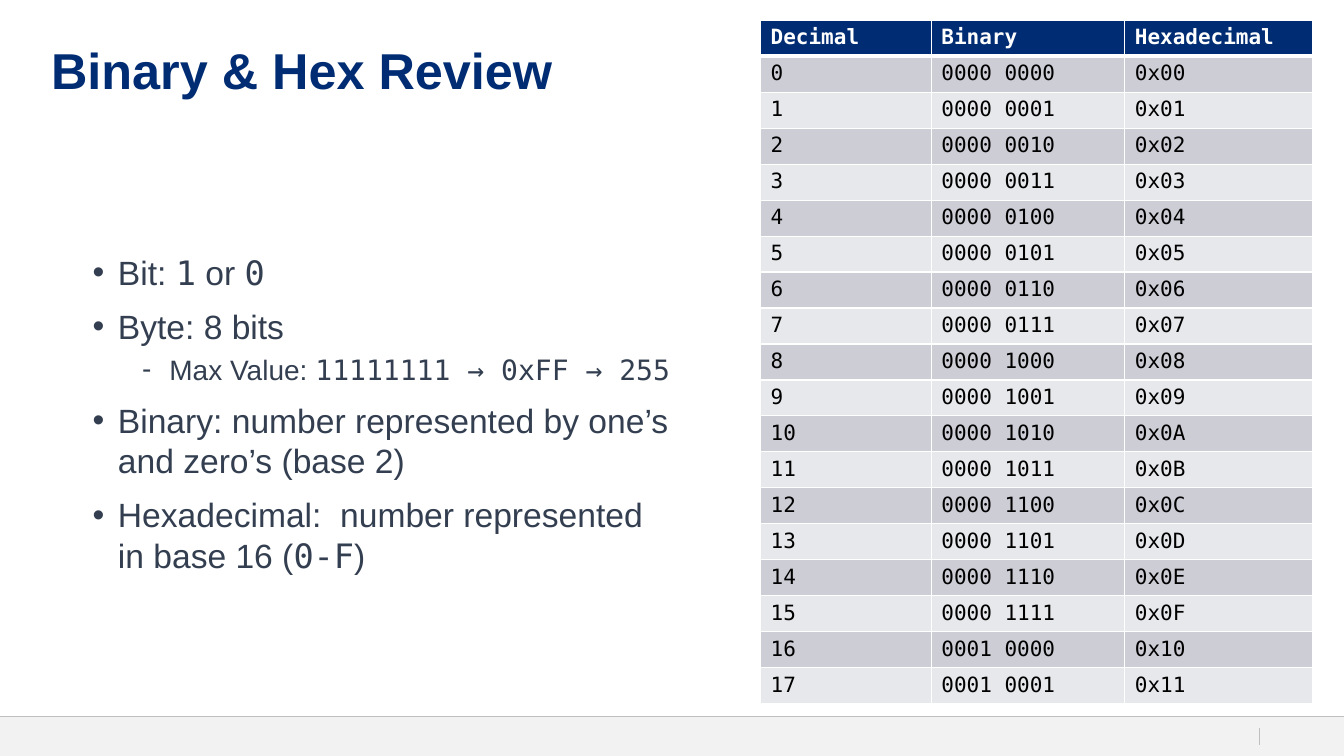
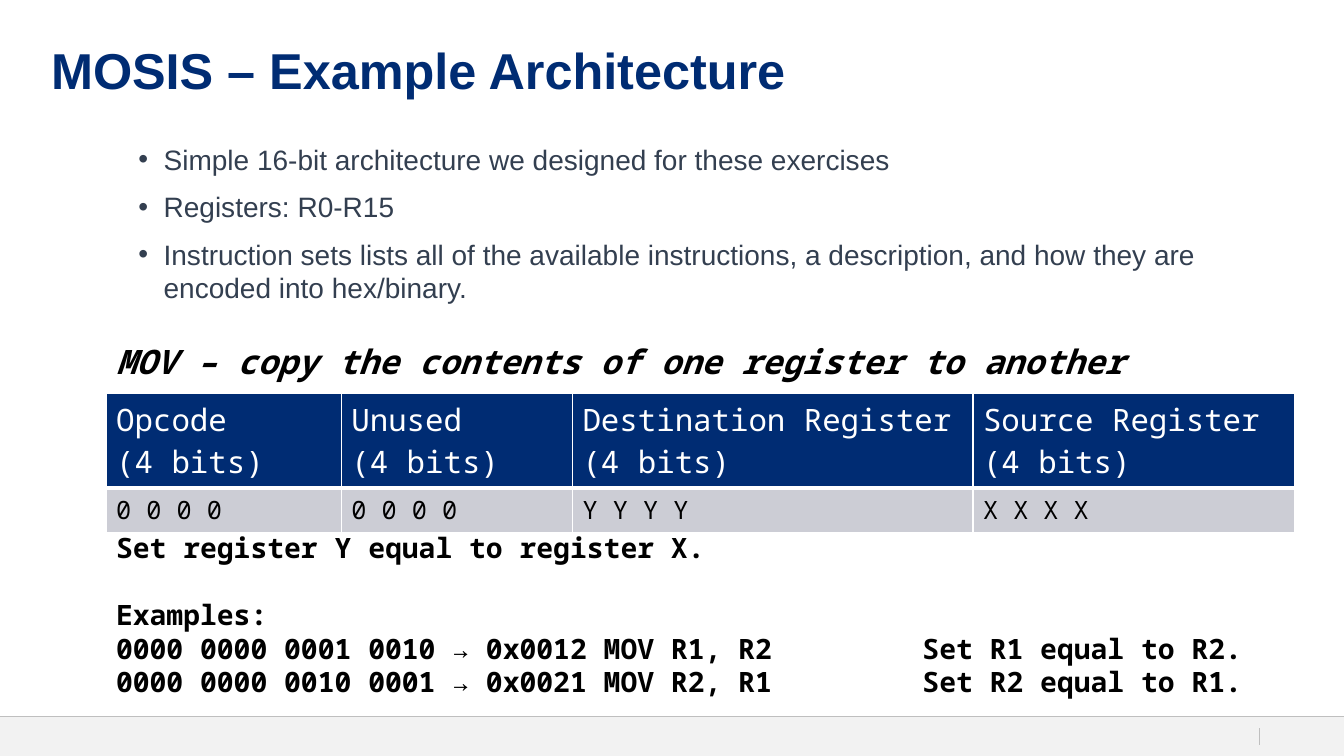
from dataclasses import dataclass

from lxml.etree import SubElement
from pptx import Presentation
from pptx.dml.color import RGBColor
from pptx.enum.shapes import MSO_CONNECTOR, MSO_SHAPE
from pptx.enum.text import MSO_ANCHOR, MSO_AUTO_SIZE, PP_ALIGN
from pptx.oxml.ns import qn
from pptx.util import Inches, Pt


@dataclass(frozen=True)
class Theme:
    navy: str = "002C73"
    slate: str = "333F50"
    black: str = "000000"
    white: str = "FFFFFF"
    band: str = "F2F2F2"
    rule: str = "BFBFBF"
    stripes: tuple = ("CCCDD5", "E7E8EB")
    sans: str = "Arial"
    code: str = "DejaVu Sans Mono"
    mono: str = "Noto Sans Mono"
    title: int = 36
    large: int = 24
    header: int = 22
    body: int = 20
    cell: int = 18
    small: int = 15


T = Theme()


def write(tf, text, size=T.body, font=T.sans, color=T.slate, bold=False, italic=False,
          before=0, spacing=None, bullet=None, indent=0.25, hang=0.25, level=0, tab=None):
    """Add one paragraph; parts between backticks are set in the code font."""
    p = tf.add_paragraph() if tf.text else tf.paragraphs[0]
    p.alignment, p.level, p.space_before = PP_ALIGN.LEFT, level, Pt(before)
    if spacing:
        p.line_spacing = spacing
    pPr = p._p.get_or_add_pPr()
    if bullet:
        pPr.set("marL", str(Inches(indent)))
        pPr.set("indent", str(-Inches(hang)))
        SubElement(pPr, qn("a:buChar"), char=bullet)
    if tab:
        tabs = SubElement(pPr, qn("a:tabLst"))
        SubElement(tabs, qn("a:tab"), pos=str(Inches(tab)), algn="l")
    for i, part in enumerate(text.split("`")):
        if part:
            r = p.add_run()
            r.text = part
            r.font.name = T.code if i % 2 else font
            r.font.size, r.font.bold, r.font.italic = Pt(size), bold, italic
            r.font.color.rgb = RGBColor.from_string(color)


def add_grid(s, rows, left, top, widths, height, font, header_size, size, header_bold):
    """Add a table with a navy header, striped rows and white rules."""
    table = s.shapes.add_table(len(rows), len(widths), left, top, sum(widths), height).table
    for column, width in zip(table.columns, widths):
        column.width = width
    for i, row in enumerate(rows):
        table.rows[i].height = height // len(rows)
        for j, text in enumerate(row):
            cell = table.cell(i, j)
            tcPr = cell._tc.get_or_add_tcPr()
            for side in "LRTB":
                thick = (i == 0 and side == "B") or (i == 1 and side == "T")
                ln = SubElement(tcPr, qn(f"a:ln{side}"), w=str(Pt(3 if thick else 1)))
                SubElement(SubElement(ln, qn("a:solidFill")), qn("a:srgbClr"), val=T.white)
            cell.fill.solid()
            fill = T.stripes[(i - 1) % 2] if i else T.navy
            cell.fill.fore_color.rgb = RGBColor.from_string(fill)
            for line in text.split("\n"):
                write(cell.text_frame, line, font=font, size=size if i else header_size,
                      color=T.black if i else T.white, bold=header_bold and i == 0)


prs = Presentation()
prs.slide_width, prs.slide_height = Inches(13.333), Inches(7.5)
W, H = prs.slide_width, prs.slide_height
COL, ROW = W // 1000, H // 1000

# Shared layout: title and body frames
layout = prs.slide_layouts[1]
title, body = layout.placeholders[0], layout.placeholders[1]
title.left, title.top, title.width, title.height = 38 * COL, 61 * ROW, 925 * COL, 111 * ROW
for ph in (title, body):
    tf = ph.text_frame
    tf.margin_left = tf.margin_right = tf.margin_top = tf.margin_bottom = 0
    tf.vertical_anchor, tf.auto_size, tf.word_wrap = MSO_ANCHOR.TOP, MSO_AUTO_SIZE.NONE, True

slides = []
for heading, box in (("Binary & Hex Review", (69, 333, 431, 524)),
                     ("MOSIS – Example Architecture", (103, 188, 835, 243))):
    s = prs.slides.add_slide(layout)
    write(s.shapes.title.text_frame, heading, size=T.title, color=T.navy, bold=True, spacing=0.9)
    ph = s.placeholders[1]
    ph.left, ph.top, ph.width, ph.height = (n * u for n, u in zip(box, (COL, ROW, COL, ROW)))
    slides.append(s)
review, architecture = slides

# Shared footer: drawn once, then moved to the slide master
band = review.shapes.add_shape(MSO_SHAPE.RECTANGLE, 0, 948 * ROW, W, H - 948 * ROW)
band.shadow.inherit = False
band.fill.solid()
band.fill.fore_color.rgb = RGBColor.from_string(T.band)
band.line.fill.background()
footer = [band]
for x1, y1, x2, y2 in ((0, 948, 1000, 948), (937, 963, 937, 985)):
    rule = review.shapes.add_connector(MSO_CONNECTOR.STRAIGHT,
                                       x1 * COL, y1 * ROW, x2 * COL, y2 * ROW)
    rule.line.color.rgb = RGBColor.from_string(T.rule)
    rule.line.width = Pt(0.5)
    SubElement(rule._element.spPr, qn("a:effectLst"))
    footer.append(rule)
for i, shape in enumerate(footer):
    prs.slide_master.shapes._spTree.insert(2 + i, shape._element)

# Slide 1: number bases
point = dict(size=T.large, before=10, bullet="•")
tf = review.placeholders[1].text_frame
write(tf, "Bit: `1` or `0`", **point)
write(tf, "Byte: 8 bits", **point)
write(tf, "Max Value: `11111111 → 0xFF → 255`", before=4, bullet="-",
      indent=0.76, hang=0.27, level=1)
write(tf, "Binary: number represented by one’s and zero’s (base 2)", **point)
write(tf, "Hexadecimal:  number represented in base 16 (`0-F`)", **point)

rows = [("Decimal", "Binary", "Hexadecimal")]
for n in range(18):
    rows.append((str(n), f"{n >> 4:04b} {n & 15:04b}", f"0x{n:02X}"))
add_grid(review, rows, 566 * COL, 27 * ROW, [127 * COL, 144 * COL, 140 * COL], 904 * ROW,
         font=T.code, header_size=T.small, size=T.small, header_bold=True)

# Slide 2: instruction encoding
tf = architecture.placeholders[1].text_frame
for text in ("Simple 16-bit architecture we designed for these exercises",
             "Registers: R0-R15",
             "Instruction sets lists all of the available instructions, a description, "
             "and how they are encoded into hex/binary."):
    write(tf, text, before=10, bullet="•")

add_grid(architecture,
         [("Opcode\n(4 bits)", "Unused\n(4 bits)",
           "Destination Register (4 bits)", "Source Register (4 bits)"),
          ("0 0 0 0", "0 0 0 0", "Y Y Y Y", "X X X X")],
         79 * COL, 521 * ROW, [175 * COL, 172 * COL, 298 * COL, 239 * COL], 110 * ROW,
         font=T.mono, header_size=T.header, size=T.cell, header_bold=False)

strong = dict(font=T.mono, color=T.black, bold=True)
tf = architecture.shapes.add_textbox(79 * COL, 445 * ROW, 771 * COL, 67 * ROW).text_frame
tf.word_wrap, tf.auto_size = False, MSO_AUTO_SIZE.SHAPE_TO_FIT_TEXT
write(tf, "MOV – copy the contents of one register to another",
      size=T.large, italic=True, **strong)

tf = architecture.shapes.add_textbox(79 * COL, 695 * ROW, 883 * COL, 237 * ROW).text_frame
tf.word_wrap, tf.auto_size = True, MSO_AUTO_SIZE.SHAPE_TO_FIT_TEXT
write(tf, "Set register Y equal to register X.", **strong)
write(tf, "Examples:", before=24, **strong)
for code, value, a, b in (("0000 0000 0001 0010", "0x0012", "R1", "R2"),
                          ("0000 0000 0010 0001", "0x0021", "R2", "R1")):
    write(tf, f"{code} → {value} MOV {a}, {b}\tSet {a} equal to {b}.", tab=8, **strong)

prs.save("out.pptx")
